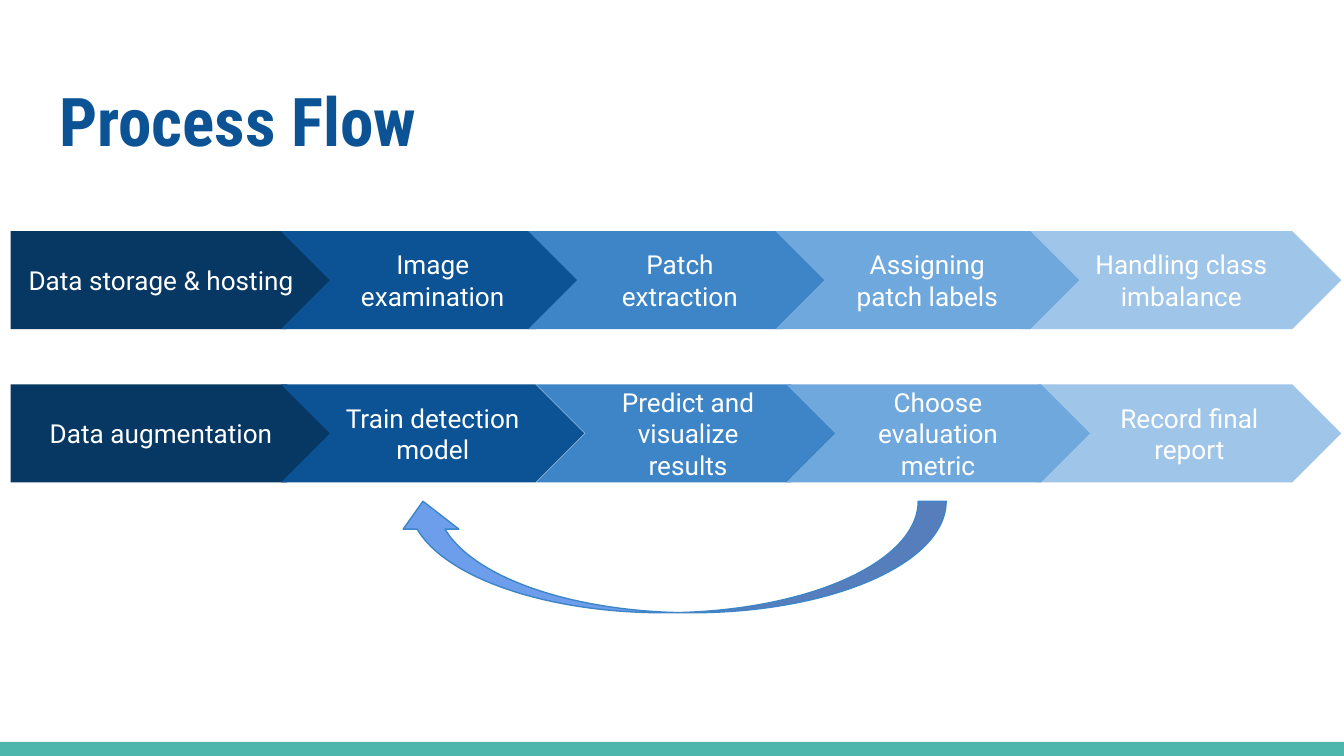
from dataclasses import dataclass

from pptx import Presentation
from pptx.dml.color import RGBColor
from pptx.enum.shapes import MSO_SHAPE
from pptx.enum.text import MSO_ANCHOR, MSO_AUTO_SIZE, PP_ALIGN
from pptx.util import Inches, Pt

RECT = MSO_SHAPE.RECTANGLE
PENTAGON = MSO_SHAPE.PENTAGON
CHEVRON = MSO_SHAPE.CHEVRON
CURVED_ARROW = MSO_SHAPE.CURVED_UP_ARROW
LEFT, CENTER = PP_ALIGN.LEFT, PP_ALIGN.CENTER
TOP, MIDDLE = MSO_ANCHOR.TOP, MSO_ANCHOR.MIDDLE
NO_AUTOFIT = MSO_AUTO_SIZE.NONE
TITLE_ONLY = 5


@dataclass(frozen=True)
class Theme:
    title: str = "0B5394"
    step_text: str = "FFFFFF"
    steps: tuple = ("073763", "0B5394", "3D85C6", "6FA8DC", "9FC5E8")
    loop_fill: str = "6D9EEB"
    loop_line: str = "3D85C6"
    footer: str = "4DB6AC"
    title_font: str = "Roboto Condensed"
    body_font: str = "Roboto"
    title_size: int = 36
    step_size: int = 14


THEME = Theme()

# Step geometry in inches
STEP_HEIGHT = 0.73
FIRST_WIDTH = 2.42
STEP_WIDTH = 2.26
ROW_RIGHT = 9.98
DRAW_ORDER = (0, 1, 2, 4, 3)  # the fourth step's tip lies over the fifth

# Each row: top, left edge of each step, labels
ROWS = (
    (1.72, (0.08, 2.09, 3.93, 5.77, 7.6),
     ("Data storage & hosting", "Image examination", "Patch extraction",
      "Assigning patch labels", "Handling class imbalance")),
    (2.86, (0.08, 2.09, 3.99, 5.85, 7.72),
     ("Data augmentation", "Train detection model",
      "Predict and visualize results", "Choose evaluation metric",
      "Record final report")),
)


def set_text(sp, text, font, size, color, bold=False, align=CENTER, anchor=MIDDLE):
    tf = sp.text_frame
    tf.auto_size = NO_AUTOFIT
    tf.word_wrap = True
    tf.vertical_anchor = anchor
    tf.margin_left = tf.margin_right = Inches(0.1)
    tf.margin_top = tf.margin_bottom = Inches(0.1)
    p = tf.paragraphs[0]
    p.alignment = align
    r = p.add_run()
    r.text = text
    r.font.name = font
    r.font.size = Pt(size)
    r.font.bold = bold
    r.font.color.rgb = RGBColor.from_string(color)


def add_shape(s, kind, left, top, width, height, fill, line=None):
    sp = s.shapes.add_shape(kind, Inches(left), Inches(top),
                            Inches(width), Inches(height))
    sp.shadow.inherit = False
    sp.fill.solid()
    sp.fill.fore_color.rgb = RGBColor.from_string(fill)
    if line:
        sp.line.color.rgb = RGBColor.from_string(line)
        sp.line.width = Pt(0.75)
    else:
        sp.line.fill.background()
    return sp


def add_title(s, text):
    sp = s.shapes.title
    sp.left, sp.top = Inches(0.34), Inches(0.49)
    sp.width, sp.height = Inches(9.32), Inches(0.77)
    set_text(sp, text, THEME.title_font, THEME.title_size, THEME.title,
             bold=True, align=LEFT, anchor=TOP)


def add_step_row(s, top, lefts, labels):
    last = len(labels) - 1
    for i in DRAW_ORDER:
        kind, width = CHEVRON, STEP_WIDTH
        if i == 0:
            kind, width = PENTAGON, FIRST_WIDTH
        elif i == last:
            width = ROW_RIGHT - lefts[i]
        sp = add_shape(s, kind, lefts[i], top, width, STEP_HEIGHT, THEME.steps[i])
        set_text(sp, labels[i], THEME.body_font, THEME.step_size, THEME.step_text)


def add_loop_arrow(s):
    sp = add_shape(s, CURVED_ARROW, 2.94, 3.73, 4.1, 0.83,
                   THEME.loop_fill, THEME.loop_line)
    sp.element.spPr.xfrm.set("flipH", "1")


def main():
    prs = Presentation()
    prs.slide_width, prs.slide_height = Inches(10), Inches(5.625)
    s = prs.slides.add_slide(prs.slide_layouts[TITLE_ONLY])

    # Footer band and title
    add_shape(s, RECT, 0, 5.52, 10, 0.11, THEME.footer)
    add_title(s, "Process Flow")

    # Two rows of steps
    for top, lefts, labels in ROWS:
        add_step_row(s, top, lefts, labels)

    # Loop from evaluation back to training
    add_loop_arrow(s)

    prs.save("out.pptx")


if __name__ == "__main__":
    main()
